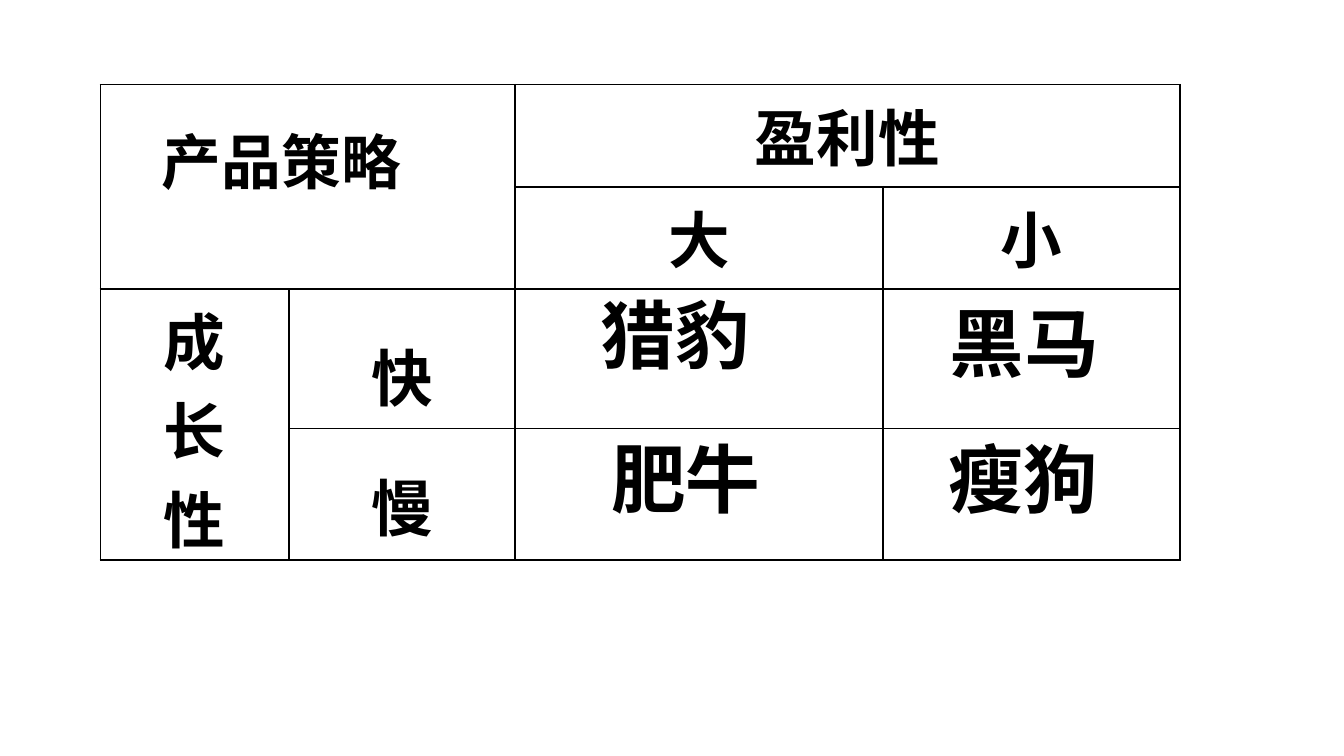
import pptx
import pptx.util
import pptx.dml.color
import pptx.enum.text
import pptx.oxml
import pptx.oxml.ns
from pptx.util import Cm

BLACK = "000000"
CJK = "Noto Sans CJK SC"


def color(hex_value):
    return pptx.dml.color.RGBColor.from_string(hex_value)


def write(frame, text, size=33, font="Times New Roman", align=None, spacing=None):
    for index, line in enumerate(text.split("\n")):
        paragraph = frame.add_paragraph() if index else frame.paragraphs[0]
        paragraph.alignment = align
        paragraph.line_spacing = spacing
        run = paragraph.add_run()
        run.text = line
        run.font.size = pptx.util.Pt(size)
        run.font.bold = True
        run.font.name = font
        run.font.color.rgb = color(BLACK)
        east_asian = pptx.oxml.parse_xml(
            f'<a:ea {pptx.oxml.ns.nsdecls("a")} typeface="{CJK}"/>')
        run.font._element.append(east_asian)


deck = pptx.Presentation()
deck.slide_width = Cm(25.4)
deck.slide_height = Cm(14.29)
slide = deck.slides.add_slide(deck.slide_layouts[6])
center = pptx.enum.text.PP_ALIGN.CENTER

heading = slide.shapes.add_textbox(Cm(0.3), Cm(2.5), Cm(10.3), Cm(1.35)).text_frame
heading.word_wrap = True
heading.auto_size = pptx.enum.text.MSO_AUTO_SIZE.SHAPE_TO_FIT_TEXT
write(heading, "产品策略 ", size=32, font=CJK, align=center, spacing=0.8)

widths = [3.56, 4.27, 6.96, 5.61]
heights = [1.93, 1.93, 2.64, 2.49]
matrix = slide.shapes.add_table(
    4, 4, Cm(1.9), Cm(1.6), Cm(sum(widths)), Cm(sum(heights))).table
matrix.first_row = False
matrix.horz_banding = False
for column, width in zip(matrix.columns, widths):
    column.width = Cm(width)
for row, height in zip(matrix.rows, heights):
    row.height = Cm(height)

for cell in matrix.iter_cells():
    cell.margin_left = cell.margin_right = Cm(0.25)
    cell.margin_top = cell.margin_bottom = Cm(0.1)
    for side in ("lnL", "lnR", "lnT", "lnB"):
        border = pptx.oxml.parse_xml(
            f'<a:{side} {pptx.oxml.ns.nsdecls("a")} w="12700"><a:solidFill>'
            f'<a:srgbClr val="{BLACK}"/></a:solidFill></a:{side}>')
        cell._tc.get_or_add_tcPr().append(border)
    cell.fill.background()

for top, left, bottom, right in [(0, 0, 1, 1), (0, 2, 0, 3), (2, 0, 3, 0)]:
    matrix.cell(top, left).merge(matrix.cell(bottom, right))

for row, column, label, spacing in [
    (0, 2, "盈利性", None),
    (1, 2, "大", None),
    (1, 3, "小", None),
    (2, 0, "成\n长\n性", None),
    (2, 1, "快", 1.4),
    (3, 1, "慢", 1.3),
]:
    write(matrix.cell(row, column).text_frame, label, align=center, spacing=spacing)

for strategy, left, top, height, spacing in [
    ("猎豹", 11.1, 5.94, 1.37, 0.6),
    ("肥牛", 11.3, 8.05, 1.96, None),
    ("瘦狗", 17.68, 8.05, 1.96, None),
    ("黑马", 17.7, 5.49, 1.96, None),
]:
    frame = slide.shapes.add_textbox(Cm(left), Cm(top), Cm(3.38), Cm(height)).text_frame
    frame.word_wrap = False
    frame.auto_size = pptx.enum.text.MSO_AUTO_SIZE.SHAPE_TO_FIT_TEXT
    write(frame, strategy, size=40, font="Calibri", spacing=spacing)

deck.save("out.pptx")
